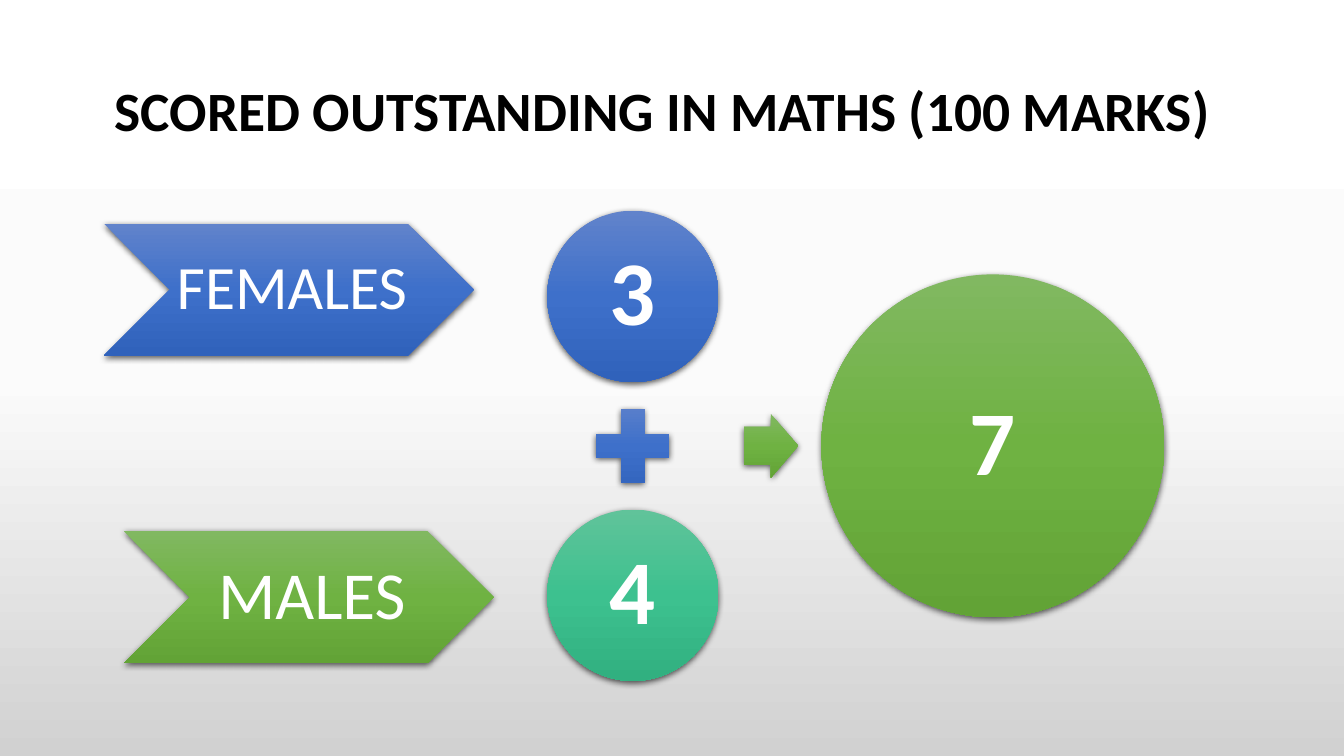
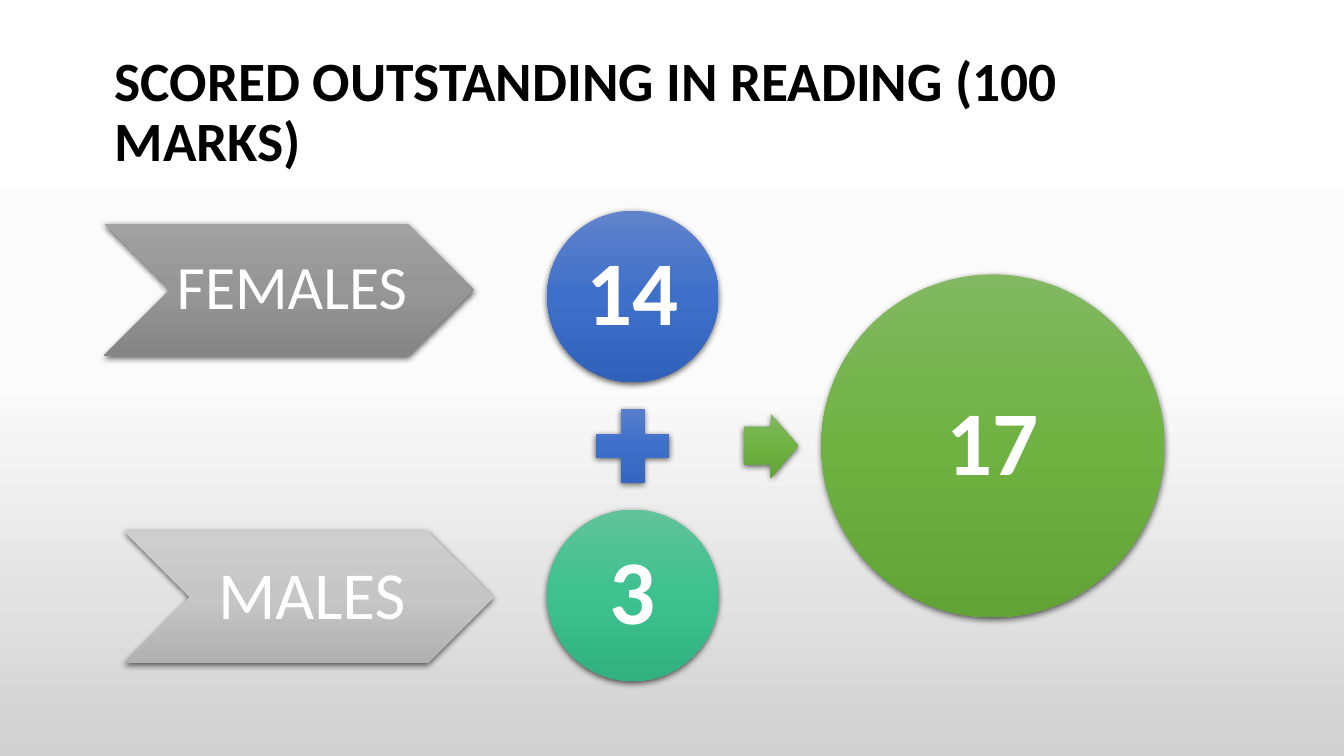
from dataclasses import dataclass

from lxml.etree import SubElement
from pptx import Presentation
from pptx.dml.color import RGBColor
from pptx.dml.fill import FillFormat
from pptx.enum.shapes import MSO_SHAPE
from pptx.enum.text import MSO_ANCHOR, PP_ALIGN
from pptx.oxml.ns import qn
from pptx.oxml.xmlchemy import BaseOxmlElement
from pptx.shapes.autoshape import Shape
from pptx.slide import Slide
from pptx.text.text import TextFrame
from pptx.util import Cm, Pt

FONT = "Calibri"
COLORS = {"title": "000000", "label": "FFFFFF", "shadow": "000000"}
GRADIENTS = {
    "page": ("FFFFFF", "FBFBFB", "D1D1D1"),
    "blue": ("6183CB", "3E70CA", "3062BB"),
    "teal": ("60C39A", "3DC18F", "31B080"),
    "green": ("81B861", "6FB242", "62A336"),
    "dark gray": ("A1A1A1", "969696", "858585"),
    "light gray": ("CECECE", "C6C6C6", "B0B0B0"),
}

CIRCLE = 4.32
PLUS = 2.51
GAP = 0.35
TOTAL = 8.64
COLUMN_CENTER = 15.95
FEMALE_CENTER = 7.47
STEP = (CIRCLE + PLUS) / 2 + GAP
MIDDLE = FEMALE_CENTER + STEP
MALE_CENTER = MIDDLE + STEP


@dataclass(frozen=True)
class Label:
    text: str
    size: float
    bold: bool = False
    insets: tuple[float, float, float, float] = (0.23, 0.23, 0.23, 0.23)


@dataclass(frozen=True)
class Node:
    kind: MSO_SHAPE
    center_x: float
    center_y: float
    width: float
    height: float
    gradient: str
    label: Label | None = None


@dataclass(frozen=True)
class Score:
    subject: str
    females: int
    males: int
    female_gradient: str
    male_gradient: str


SCORES = (
    Score("MATHS", 3, 4, "blue", "green"),
    Score("READING", 14, 3, "dark gray", "light gray"),
)


def apply_gradient(fill: FillFormat, owner: BaseOxmlElement, name: str) -> None:
    fill.gradient()
    fill.gradient_angle = 270
    stops = owner.find(".//" + qn("a:gradFill")).find(qn("a:gsLst"))
    for stop in list(stops):
        stops.remove(stop)
    for position, color in zip((0, 50000, 100000), GRADIENTS[name]):
        stop = SubElement(stops, qn("a:gs"), pos=str(position))
        SubElement(stop, qn("a:srgbClr"), val=color)


def apply_shadow(shape: Shape) -> None:
    shape.shadow.inherit = False
    effects = shape.element.spPr.find(qn("a:effectLst"))
    shadow = SubElement(
        effects, qn("a:outerShdw"), blurRad=str(Pt(4.5)), dist=str(Pt(1.5)),
        dir="5400000", algn="ctr", rotWithShape="0",
    )
    color = SubElement(shadow, qn("a:srgbClr"), val=COLORS["shadow"])
    SubElement(color, qn("a:alpha"), val="63000")


def write_text(frame: TextFrame, label: Label, color: str, align: PP_ALIGN, wrap: bool) -> None:
    frame.word_wrap = wrap
    frame.vertical_anchor = MSO_ANCHOR.MIDDLE
    left, top, right, bottom = label.insets
    frame.margin_left, frame.margin_top = Cm(left), Cm(top)
    frame.margin_right, frame.margin_bottom = Cm(right), Cm(bottom)
    para = frame.paragraphs[0]
    para.text = label.text
    para.alignment = align
    para.line_spacing = 0.9
    para.font.name = FONT
    para.font.size = Pt(label.size)
    para.font.bold = label.bold
    para.font.color.rgb = RGBColor.from_string(COLORS[color])


def add_title(page: Slide, text: str) -> None:
    box = page.shapes.add_textbox(Cm(2.64), Cm(1.65), Cm(29.21), Cm(2.41))
    label = Label(text, 39.6, True, (0.25, 0.13, 0.25, 0.13))
    write_text(box.text_frame, label, "title", PP_ALIGN.LEFT, True)


def add_node(page: Slide, node: Node) -> Shape:
    shape = page.shapes.add_shape(
        node.kind,
        Cm(node.center_x - node.width / 2), Cm(node.center_y - node.height / 2),
        Cm(node.width), Cm(node.height),
    )
    apply_gradient(shape.fill, shape.element.spPr, node.gradient)
    shape.line.fill.background()
    apply_shadow(shape)
    if node.label:
        write_text(shape.text_frame, node.label, "label", PP_ALIGN.CENTER, False)
    return shape


def circle(x: float, y: float, diameter: float, gradient: str, value: int) -> Node:
    return Node(MSO_SHAPE.OVAL, x, y, diameter, diameter, gradient, Label(str(value), 65, True))


def chevron(x: float, y: float, gradient: str, text: str, size: float) -> Node:
    label = Label(text, size, insets=(0.16, 0.08, 0, 0.08))
    return Node(MSO_SHAPE.CHEVRON, x, y, 9.32, 3.33, gradient, label)


def add_score_page(page: Slide, score: Score) -> None:
    add_title(page, f"SCORED OUTSTANDING IN {score.subject} (100 MARKS)")
    nodes = (
        circle(COLUMN_CENTER, FEMALE_CENTER, CIRCLE, "blue", score.females),
        Node(MSO_SHAPE.MATH_PLUS, COLUMN_CENTER, MIDDLE, PLUS, PLUS, "blue"),
        circle(COLUMN_CENTER, MALE_CENTER, CIRCLE, "teal", score.males),
        circle(25.02, MIDDLE, TOTAL, "green", score.females + score.males),
        chevron(7.28, 7.3, score.female_gradient, "FEMALES", 44),
        chevron(7.78, 15.05, score.male_gradient, "MALES", 48),
    )
    for node in nodes:
        add_node(page, node)
    arrow = add_node(page, Node(MSO_SHAPE.RIGHT_ARROW, 19.43, MIDDLE, 1.37, 1.6, "green"))
    arrow.adjustments[0] = 0.6


def main() -> None:
    deck = Presentation()
    deck.slide_width, deck.slide_height = Cm(33.87), Cm(19.05)
    master = deck.slide_master
    apply_gradient(master.background.fill, master.element, "page")
    for score in SCORES:
        add_score_page(deck.slides.add_slide(deck.slide_layouts[6]), score)
    deck.save("out.pptx")


if __name__ == "__main__":
    main()
